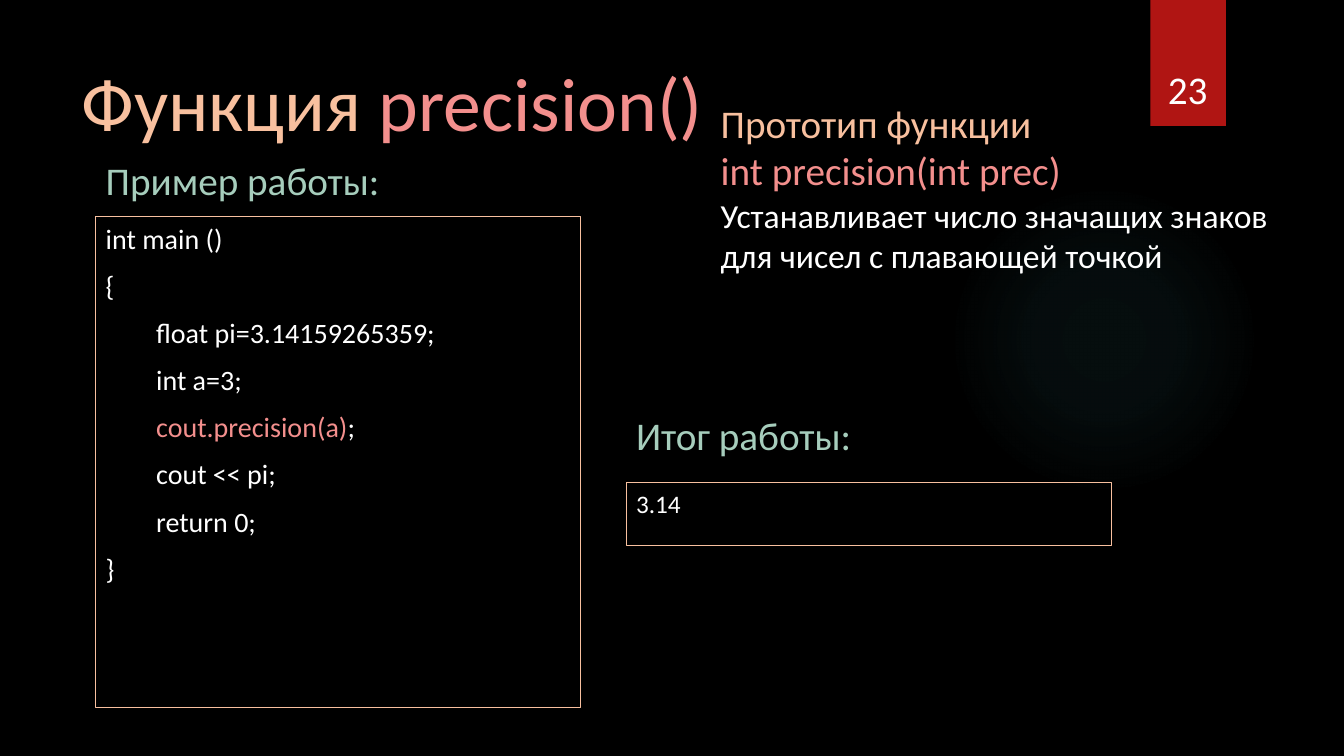
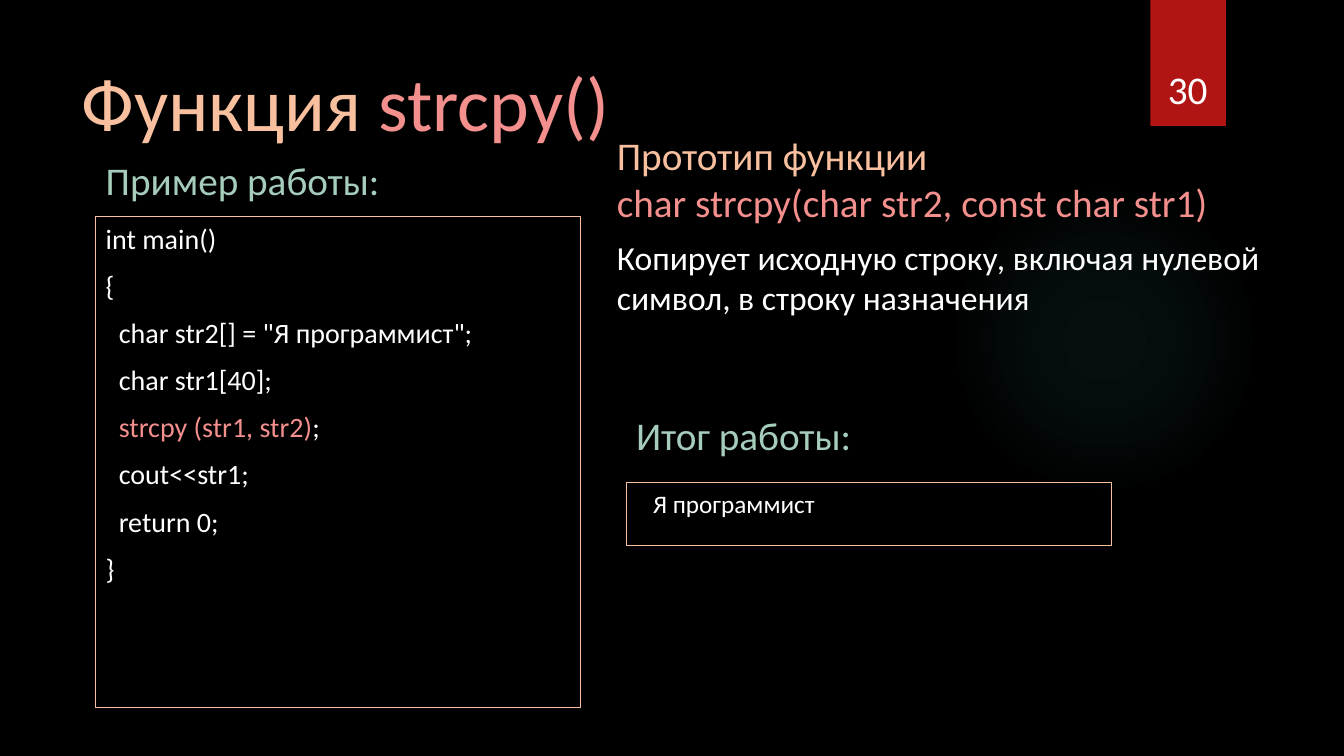
from typing import NamedTuple

from lxml import etree
from pptx import Presentation
from pptx.dml.color import RGBColor
from pptx.enum.shapes import MSO_SHAPE
from pptx.enum.text import MSO_ANCHOR, PP_ALIGN
from pptx.oxml import parse_xml
from pptx.util import Inches, Pt

BLACK = RGBColor(0x00, 0x00, 0x00)
WHITE = RGBColor(0xFF, 0xFF, 0xFF)
RED = RGBColor(0xB0, 0x15, 0x13)
PEACH = RGBColor(0xF8, 0xC0, 0x9F)
PINK = RGBColor(0xF3, 0x8F, 0x8D)
MINT = RGBColor(0xA6, 0xCD, 0xBC)
TEAL = RGBColor(0x50, 0xB9, 0xC1)

FONT = "Calibri"
CELL = Inches(0.1)  # one column or row of the slide grid
DRAWING = "http://schemas.openxmlformats.org/drawingml/2006/main"
GLOW_STOPS = [(0, 7), (36, 6), (69, 0)]  # position and opacity, percent


class Box(NamedTuple):
    """An area in grid columns and rows."""
    left: float
    top: float
    width: float
    height: float

    def below(self, rows, height):
        return Box(self.left, self.top + rows, self.width, height)

    def lengths(self):
        return [round(cells * CELL) for cells in self]


CODE_BOX = Box(9.5, 15, 48.1, 55.2)
RESULT_BOX = Box(62.1, 40.3, 48.1, 13.8)


class Line(NamedTuple):
    """A paragraph: (text, colour) runs and its indent in columns."""
    runs: list
    indent: float = 0


def plain(text, indent=0, color=WHITE):
    return Line([(text, color)], indent)


def add_text(slide, box, lines, size, align=PP_ALIGN.LEFT,
             anchor=MSO_ANCHOR.TOP, space_before=0, border=None):
    shape = slide.shapes.add_textbox(*box.lengths())
    if border is not None:
        shape.line.color.rgb = border
        shape.line.width = Pt(0.75)
    frame = shape.text_frame
    frame.word_wrap = True
    frame.vertical_anchor = anchor
    for number, line in enumerate(lines):
        paragraph = frame.add_paragraph() if number else frame.paragraphs[0]
        paragraph.alignment = align
        paragraph.space_before = Pt(space_before)
        if line.indent:
            properties = paragraph._p.get_or_add_pPr()
            properties.set("marL", str(round(line.indent * CELL)))
            properties.set("indent", "0")
        for text, color in line.runs:
            run = paragraph.add_run()
            run.text = text
            run.font.name = FONT
            run.font.size = Pt(size)
            run.font.color.rgb = color
    return shape


def add_plain_shape(slide, kind, box, color):
    shape = slide.shapes.add_shape(kind, *box.lengths())
    shape.shadow.inherit = False
    shape.line.fill.background()
    shape.fill.solid()
    shape.fill.fore_color.rgb = color
    return shape


def add_glow(slide, box):
    glow = add_plain_shape(slide, MSO_SHAPE.OVAL, box, TEAL)
    gradient = parse_xml(
        f'<a:gradFill xmlns:a="{DRAWING}" rotWithShape="1"><a:gsLst/>'
        '<a:path path="circle">'
        '<a:fillToRect l="50000" t="50000" r="50000" b="50000"/>'
        '</a:path></a:gradFill>')
    for position, opacity in GLOW_STOPS:
        stop = etree.SubElement(gradient[0], f"{{{DRAWING}}}gs",
                                pos=str(position * 1000))
        color = etree.SubElement(stop, f"{{{DRAWING}}}srgbClr", val=str(TEAL))
        etree.SubElement(color, f"{{{DRAWING}}}alpha", val=str(opacity * 1000))
    properties = glow._element.spPr
    properties.replace(properties.find(f"{{{DRAWING}}}solidFill"), gradient)


def add_page_band(slide, box, number):
    add_plain_shape(slide, MSO_SHAPE.RECTANGLE, box, RED)
    label = Box(box.left - 0.9, 3.2, box.width + 1.7, 8.4)
    add_text(slide, label, [plain(str(number))], 28,
             align=PP_ALIGN.CENTER, anchor=MSO_ANCHOR.BOTTOM)


def add_panel(slide, box, heading, lines, size, frame_row):
    """A mint heading with an outlined frame that fills the rest of the box."""
    add_text(slide, box.below(0, 5.7), [plain(heading, color=MINT)], 28)
    add_text(slide, box.below(frame_row, box.height - frame_row), lines, size,
             space_before=9.6, border=PEACH)


def add_prototype(slide, box, signature, description, description_row):
    heading = [plain("Прототип функции", color=PEACH),
               plain(signature, color=PINK)]
    add_text(slide, box.below(0, 10.4), heading, 28)
    add_text(slide, box.below(description_row, 9.1),
             [plain(text) for text in description], 24)


def add_function_slide(presentation, number, name, code, result, prototype):
    slide = presentation.slides.add_slide(presentation.slide_layouts[6])
    slide.background.fill.solid()
    slide.background.fill.fore_color.rgb = BLACK

    # Backdrop and page number
    add_glow(slide, Box(94.1, 18.3, 30.8, 30.8))
    add_page_band(slide, Box(114.1, 0, 7.5, 12.5), number)

    # Title
    add_text(slide, Box(7.1, 5, 64.9, 10.1),
             [Line([("Функция ", PEACH), (name, PINK)])], 54,
             anchor=MSO_ANCHOR.MIDDLE)

    # Code, its output and the prototype
    add_panel(slide, CODE_BOX, "Пример работы:", code, 20, frame_row=6.5)
    add_panel(slide, RESULT_BOX, "Итог работы:", [result], 18, frame_row=7.6)
    add_prototype(slide, **prototype)


def main_function(header, body, indent):
    """Code lines of a main function with an indented body."""
    inner = [Line(runs, indent) for runs in body]
    return [plain(header), plain("{"), *inner, plain("}")]


def main():
    presentation = Presentation()
    presentation.slide_width = Inches(13.33)
    presentation.slide_height = Inches(7.5)

    add_function_slide(
        presentation, 23, "precision()",
        code=main_function("int main ()", [
            [("float pi=3.14159265359;", WHITE)],
            [("int a=3;", WHITE)],
            [("cout.precision(a)", PINK), (";", WHITE)],
            [("cout << pi;", WHITE)],
            [("return 0;", WHITE)],
        ], indent=5),
        result=plain("3.14"),
        prototype=dict(
            box=Box(70.5, 9.4, 57.6, 18.5),
            signature="int precision(int prec)",
            description=["Устанавливает число значащих знаков",
                         "для чисел с плавающей точкой"],
            description_row=9.4))

    add_function_slide(
        presentation, 30, "strcpy()",
        code=main_function("int main()", [
            [('char str2[] = "Я программист";', WHITE)],
            [("char str1[40];", WHITE)],
            [("strcpy (str1, str2)", PINK), (";", WHITE)],
            [("cout<<str1;", WHITE)],
            [("return 0;", WHITE)],
        ], indent=1.3),
        result=plain("Я программист", indent=1.7),
        prototype=dict(
            box=Box(60.2, 12.5, 67.4, 19.6),
            signature="char strcpy(char str2, const char str1)",
            description=["Копирует исходную строку, включая нулевой",
                         "символ, в строку назначения"],
            description_row=10.5))

    presentation.save("out.pptx")


if __name__ == "__main__":
    main()
